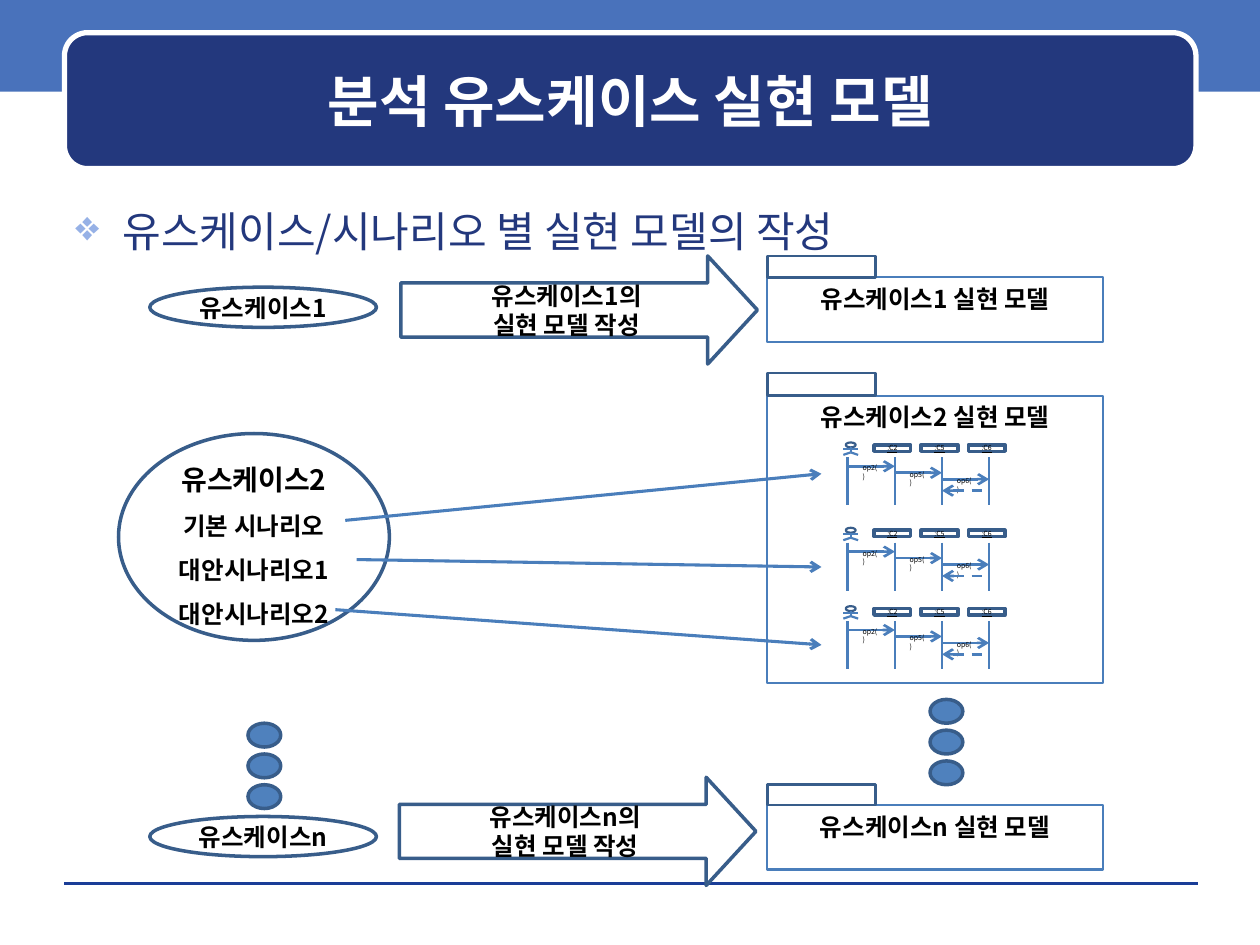
from lxml.etree import SubElement
from pptx import Presentation
from pptx.dml.color import RGBColor
from pptx.enum.dml import MSO_LINE
from pptx.enum.shapes import MSO_CONNECTOR, MSO_SHAPE
from pptx.enum.text import MSO_ANCHOR, PP_ALIGN
from pptx.oxml import parse_xml
from pptx.oxml.ns import nsdecls, qn
from pptx.util import Cm, Pt

FONT = "Noto Sans CJK KR"
COLORS = {
    "band": "4972BB", "rule": "1A3D97", "panel": "23387D", "white": "FFFFFF",
    "bullet": "96B1E6", "outline": "385D8A", "line": "4A7EBB",
    "dot": "4F81BD", "text": "000000",
}

TITLE = "분석 유스케이스 실현 모델"
HEADING = "유스케이스/시나리오 별 실현 모델의 작성"
SCENARIO_LINES = [("유스케이스2", 16), ("기본 시나리오", 14),
                  ("대안시나리오1", 14), ("대안시나리오2", 14)]
FOLDERS = [
    ("유스케이스1 실현 모델", 5.16, 5.59, 1.3),
    ("유스케이스2 실현 모델", 7.52, 7.98, 5.79),
    ("유스케이스n 실현 모델", 15.82, 16.23, 1.3),
]
USE_CASES = [("유스케이스1", 5.79), ("유스케이스n", 16.46)]
STEPS = [("유스케이스1의", 8.08, 5.16), ("유스케이스n의", 8.05, 15.67)]
STEP_ACTION = "실현 모델 작성"
DOT_COLUMNS = [(5.0, 14.58), (18.75, 14.1)]
SEQUENCE_TOPS = [8.92, 10.64, 12.22]
OBJECTS = [":C2", ":C5", ":C6"]
MESSAGES = ["op2()", "op5()", "op6()"]
SCENARIO_ARROWS = [
    (6.96, 10.49, 16.56, 9.55),
    (6.76, 12.29, 16.56, 13.0),
    (7.19, 11.28, 16.56, 11.43),
]


def rgb(color):
    return RGBColor.from_string(COLORS[color])


def write(shape, lines, bold=True, color="text", align=PP_ALIGN.CENTER,
          anchor=MSO_ANCHOR.MIDDLE, insets=(0, 0.13), spacing=None, underline=None):
    frame = shape.text_frame
    frame.word_wrap = True
    frame.vertical_anchor = anchor
    frame.margin_left = frame.margin_right = Cm(insets[0])
    frame.margin_top = frame.margin_bottom = Cm(insets[1])
    for index, (text, size) in enumerate(lines):
        paragraph = frame.add_paragraph() if index else frame.paragraphs[0]
        paragraph.text = text
        paragraph.alignment = align
        paragraph.line_spacing = spacing
        font = paragraph.font
        font.size = Pt(size)
        font.bold = bold
        font.underline = underline
        font.color.rgb = rgb(color)
        font.name = FONT
        SubElement(font._rPr, qn("a:ea"), typeface=FONT)


def draw(kind, left, top, width, height, fill=None, line="outline", weight=2):
    shape = shapes.add_shape(kind, Cm(left), Cm(top), Cm(width), Cm(height))
    shape.shadow.inherit = False
    if fill:
        shape.fill.solid()
        shape.fill.fore_color.rgb = rgb(fill)
    else:
        shape.fill.background()
    if line:
        shape.line.color.rgb = rgb(line)
        shape.line.width = Pt(weight)
    else:
        shape.line.fill.background()
    return shape


def connect(x1, y1, x2, y2, weight=1.5, color="line", arrow=None, dashed=False):
    connector = shapes.add_connector(
        MSO_CONNECTOR.STRAIGHT, Cm(x1), Cm(y1), Cm(x2), Cm(y2))
    connector.line.color.rgb = rgb(color)
    connector.line.width = Pt(weight)
    if dashed:
        connector.line.dash_style = MSO_LINE.DASH
    properties = connector.element.spPr
    if arrow:
        SubElement(properties.find(qn("a:ln")), qn(f"a:{arrow}"), type="arrow")
    SubElement(properties, qn("a:effectLst"))


def draw_actor(center, top):
    draw(MSO_SHAPE.OVAL, center - 0.1, top, 0.2, 0.1, weight=1.25)
    left, right, hip, foot = center - 0.15, center + 0.15, top + 0.2, top + 0.25
    for limb in [(center, top + 0.1, center, hip), (left, top + 0.13, right, top + 0.13),
                 (center, hip, left, foot), (center, hip, right, foot)]:
        connect(*limb, weight=1.25)


def draw_sequence(top):
    lifelines = [17.09 + 0.95 * i for i in range(len(OBJECTS) + 1)]
    for name, x in zip(OBJECTS, lifelines[1:]):
        header = draw(MSO_SHAPE.RECTANGLE, x - 0.42, top + 0.05, 0.74, 0.13)
        write(header, [(name, 4)], bold=False, insets=(0.25, 0), underline=True)
    draw_actor(17.15, top)
    for x in lifelines:
        connect(x, top + 0.3, x, top + 1.27)
    for i, message in enumerate(MESSAGES):
        start, end = lifelines[i:i + 2]
        y = top + 0.48 + 0.13 * i
        connect(start, y, end, y, arrow="tailEnd")
        label = shapes.add_textbox(Cm(start + 0.05), Cm(y - 0.18), Cm(0.84), Cm(0.43))
        write(label, [(message, 4)], bold=False, align=PP_ALIGN.LEFT,
              anchor=MSO_ANCHOR.TOP, insets=(0.25, 0.13))
    connect(lifelines[-2], top + 0.97, lifelines[-1], top + 0.97,
            arrow="headEnd", dashed=True)


presentation = Presentation()
presentation.slide_width, presentation.slide_height = Cm(25.4), Cm(19.05)
slide = presentation.slides.add_slide(presentation.slide_layouts[5])
shapes = slide.shapes

draw(MSO_SHAPE.RECTANGLE, 0, -0.08, 25.4, 1.93, fill="band", line=None)
connect(1.3, 17.81, 24.16, 17.81, weight=0, color="rule")
panel = draw(MSO_SHAPE.ROUNDED_RECTANGLE, 1.3, 0.66, 22.81, 2.74,
             fill="panel", line="white", weight=3)
panel.adjustments[0] = 0.17

title = shapes.title
title.left, title.top, title.width, title.height = Cm(1.52), Cm(0.89), Cm(22.38), Cm(2.24)
write(title, [(TITLE, 32)], color="white", insets=(0.25, 0.13))
title.element.getparent().append(title.element)

heading = shapes.add_textbox(Cm(1.27), Cm(4.01), Cm(22.86), Cm(13.54))
write(heading, [(HEADING, 24)], bold=False, color="panel", align=PP_ALIGN.LEFT,
      anchor=MSO_ANCHOR.TOP, insets=(0.25, 0.13))
heading_paragraph = heading.text_frame.paragraphs[0]
heading_paragraph.space_before = Pt(6)
heading_format = heading_paragraph._p.get_or_add_pPr()
heading_format.set("marL", str(Cm(0.95)))
heading_format.set("indent", str(-Cm(0.95)))
for bullet_part in (
    f'<a:buClr {nsdecls("a")}><a:srgbClr val="{COLORS["bullet"]}"/></a:buClr>',
    f'<a:buChar {nsdecls("a")} char="❖"/>',
):
    heading_format.find(qn("a:defRPr")).addprevious(parse_xml(bullet_part))

scenarios = draw(MSO_SHAPE.OVAL, 2.39, 8.74, 5.46, 4.17)
write(scenarios, SCENARIO_LINES, spacing=1.5)

for name, tab_top, body_top, body_height in FOLDERS:
    folder = draw(MSO_SHAPE.RECTANGLE, 15.47, body_top, 6.76, body_height,
                  line="line", weight=1.25)
    write(folder, [(name, 14)], anchor=MSO_ANCHOR.TOP, insets=(0.25, 0.13))
    draw(MSO_SHAPE.RECTANGLE, 15.47, tab_top, 2.18, body_top - tab_top, weight=1.5)

for name, top in USE_CASES:
    write(draw(MSO_SHAPE.OVAL, 3.02, top, 4.57, 0.81), [(name, 14)])

for left, top in DOT_COLUMNS:
    for i in range(3):
        draw(MSO_SHAPE.OVAL, left, top + 0.62 * i, 0.66, 0.48, fill="dot")

for top in SEQUENCE_TOPS:
    draw_sequence(top)

for subject, left, top in STEPS:
    step = draw(MSO_SHAPE.RIGHT_ARROW, left, top, 7.19, 2.18)
    step.adjustments[1] = 0.46
    write(step, [(subject, 14), (STEP_ACTION, 14)])

for ends in SCENARIO_ARROWS:
    connect(*ends, weight=1.75, arrow="tailEnd")

presentation.save("out.pptx")
